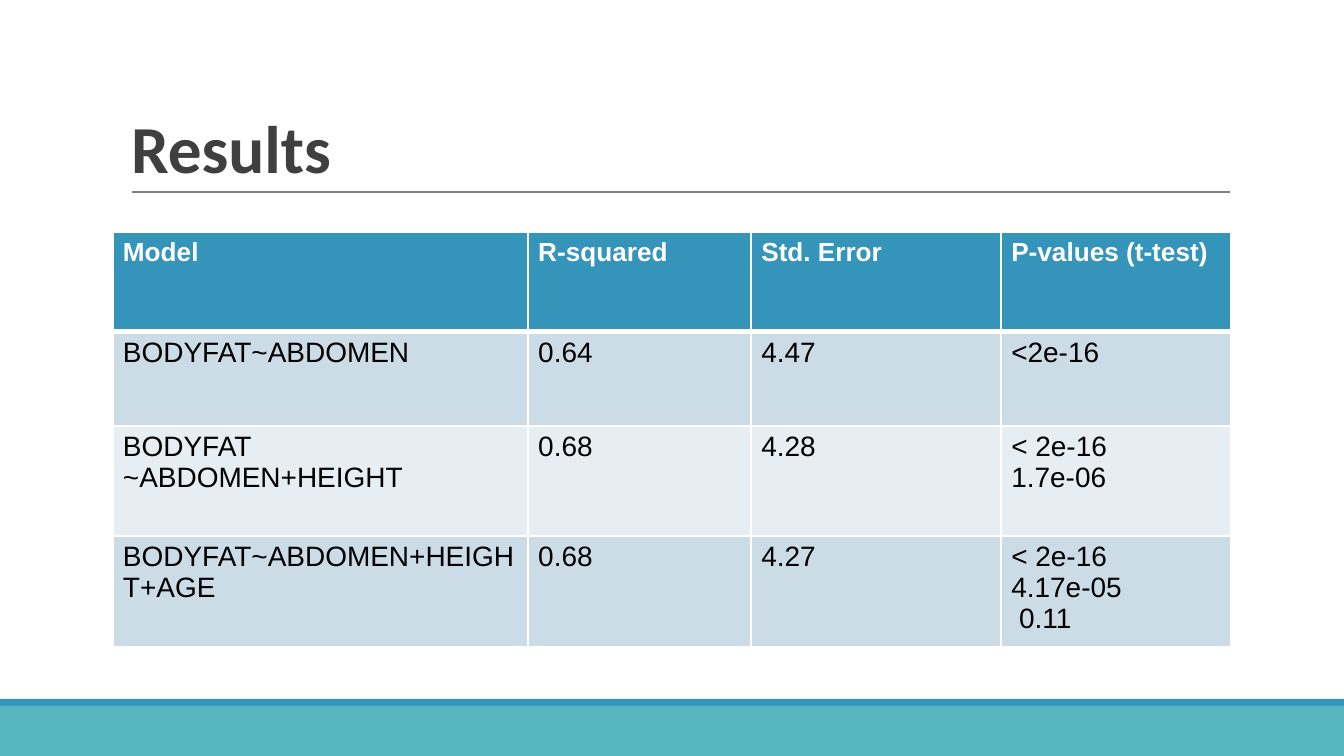
from dataclasses import dataclass

from lxml.etree import SubElement
from pptx import Presentation
from pptx.dml.color import RGBColor
from pptx.enum.shapes import MSO_CONNECTOR, MSO_SHAPE
from pptx.enum.text import MSO_ANCHOR
from pptx.oxml.ns import qn
from pptx.util import Inches, Pt

BLUE, TEAL, WHITE = "3494BA", "58B6C0", "FFFFFF"
SLIDE_WIDTH = Inches(10)
SLIDE_HEIGHT = SLIDE_WIDTH * 9 // 16
MARGINS = {
    "margin_left": Pt(5.4),
    "margin_right": Pt(5.4),
    "margin_top": Pt(2.7),
    "margin_bottom": Pt(2.7),
}


@dataclass
class Band:
    top: float
    height: float
    color: str


@dataclass
class TextStyle:
    font: str
    size: float
    color: str
    bold: bool = False


@dataclass
class ResultRow:
    height: float
    fill: str
    style: TextStyle
    texts: tuple[str, ...]
    top_line: float = 1
    bottom_line: float = 1


TITLE = TextStyle("Calibri", 36, "3F3F3F", True)
HEADER = TextStyle("Arial", 14, WHITE, True)
BODY = TextStyle("Arial", 15, "000000")

# The blue band covers the upper edge of the teal one
BANDS = [Band(5.24, 0.39, TEAL), Band(5.2, 0.05, BLUE)]
COLUMN_WIDTHS = [3.09, 1.66, 1.86, 1.71]
ROWS = [
    ResultRow(0.74, BLUE, HEADER,
              ("Model", "R-squared", "Std. Error", "P-values (t-test)"), bottom_line=3),
    ResultRow(0.7, "CCDCE6", BODY, ("BODYFAT~ABDOMEN", "0.64", "4.47", "<2e-16"), top_line=3),
    ResultRow(0.82, "E7EEF3", BODY,
              ("BODYFAT ~ABDOMEN+HEIGHT", "0.68", "4.28", "< 2e-16\n1.7e-06")),
    ResultRow(0.82, "CCDCE6", BODY,
              ("BODYFAT~ABDOMEN+HEIGHT+AGE", "0.68", "4.27", "< 2e-16\n4.17e-05\n 0.11")),
]


def rgb(color: str) -> RGBColor:
    return RGBColor.from_string(color)


def set_margins(target) -> None:
    for name, value in MARGINS.items():
        setattr(target, name, value)


def write_text(frame, text: str, style: TextStyle) -> None:
    """Write each line of the text as a paragraph in the given style."""
    frame.word_wrap = True
    frame.text = text
    values = {"name": style.font, "size": Pt(style.size), "bold": style.bold}
    for para in frame.paragraphs:
        for span in para.runs:
            for name, value in values.items():
                setattr(span.font, name, value)
            span.font.color.rgb = rgb(style.color)


def add_band(page, band: Band) -> None:
    shape = page.shapes.add_shape(MSO_SHAPE.RECTANGLE, 0, Inches(band.top),
                                  SLIDE_WIDTH, Inches(band.height))
    shape.shadow.inherit = False
    shape.fill.solid()
    shape.fill.fore_color.rgb = rgb(band.color)
    shape.line.fill.background()


def add_rule(page) -> None:
    rule = page.shapes.add_connector(MSO_CONNECTOR.STRAIGHT, Inches(0.98), Inches(1.43),
                                     Inches(9.15), Inches(1.43))
    rule.line.color.rgb = rgb("7F7F7F")
    rule.line.width = Pt(0.75)
    SubElement(rule._element.spPr, qn("a:effectLst"))


def add_title(page, text: str) -> None:
    box = page.shapes.add_textbox(Inches(0.9), Inches(0.24), Inches(8.25), Inches(1.19))
    frame = box.text_frame
    set_margins(frame)
    frame.vertical_anchor = MSO_ANCHOR.BOTTOM
    write_text(frame, text, TITLE)
    frame.paragraphs[0].line_spacing = 0.85


def set_borders(cell, top: float, bottom: float) -> None:
    properties = cell._tc.get_or_add_tcPr()
    for side, width in {"lnL": 1, "lnR": 1, "lnT": top, "lnB": bottom}.items():
        line = SubElement(properties, qn(f"a:{side}"), w=str(Pt(width)))
        fill = SubElement(line, qn("a:solidFill"))
        SubElement(fill, qn("a:srgbClr"), val=WHITE)


def add_results_table(page) -> None:
    height = sum(row.height for row in ROWS)
    table = page.shapes.add_table(len(ROWS), len(COLUMN_WIDTHS), Inches(0.84), Inches(1.73),
                                  Inches(sum(COLUMN_WIDTHS)), Inches(height)).table
    for column, width in zip(table.columns, COLUMN_WIDTHS):
        column.width = Inches(width)
    for table_row, row in zip(table.rows, ROWS):
        table_row.height = Inches(row.height)
        for cell, text in zip(table_row.cells, row.texts):
            set_margins(cell)
            # Borders come before the fill in the cell properties
            set_borders(cell, row.top_line, row.bottom_line)
            cell.fill.solid()
            cell.fill.fore_color.rgb = rgb(row.fill)
            write_text(cell.text_frame, text, row.style)


def main() -> None:
    deck = Presentation()
    deck.slide_width, deck.slide_height = SLIDE_WIDTH, SLIDE_HEIGHT
    page = deck.slides.add_slide(deck.slide_layouts[6])

    # Footer bands and title rule
    for band in BANDS:
        add_band(page, band)
    add_rule(page)

    # Title and model comparison
    add_title(page, "Results")
    add_results_table(page)
    deck.save("out.pptx")


if __name__ == "__main__":
    main()
